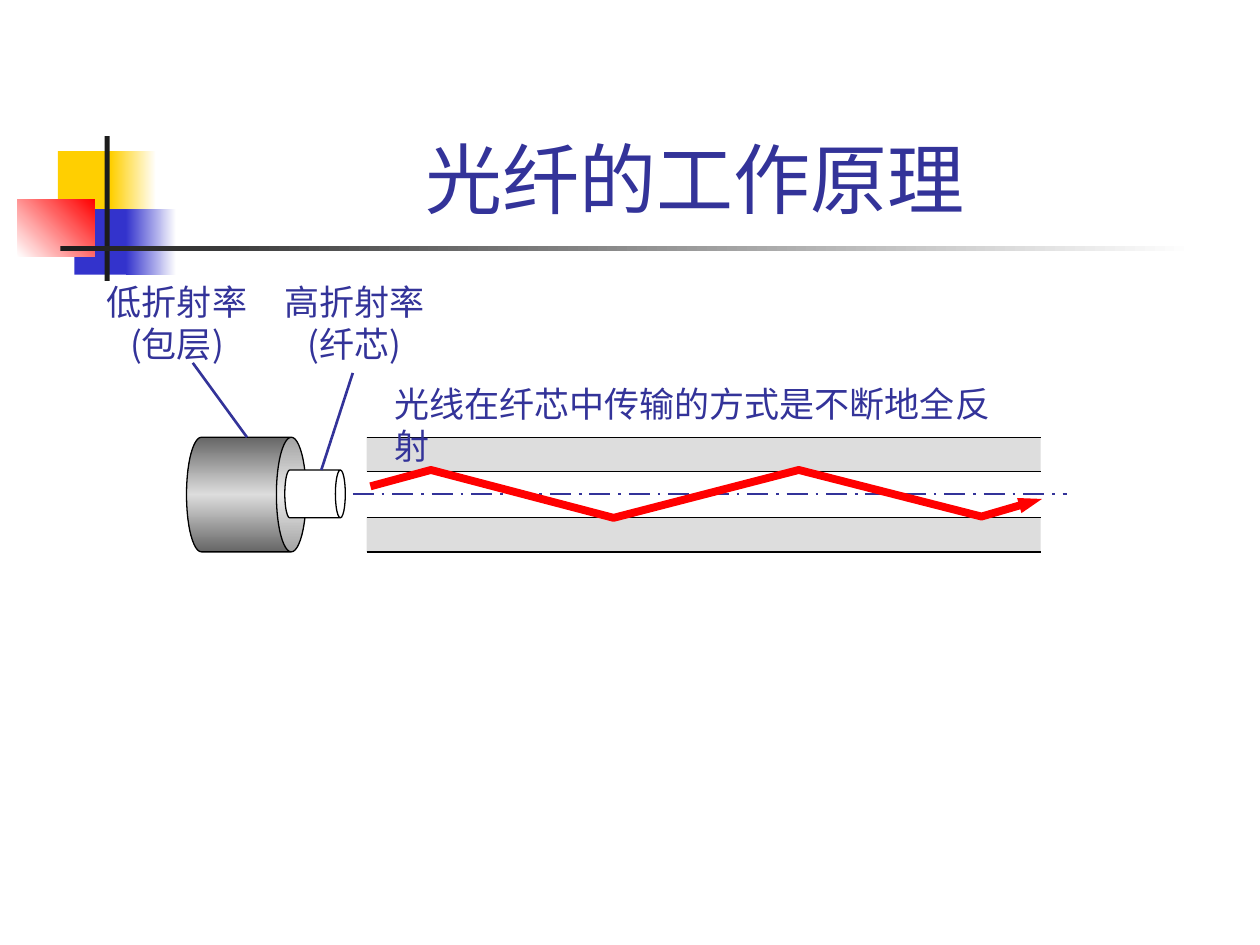
from copy import deepcopy
from typing import NamedTuple

from lxml.etree import SubElement
from pptx import Presentation
from pptx.dml.color import RGBColor
from pptx.enum.dml import MSO_LINE
from pptx.enum.shapes import MSO_CONNECTOR, MSO_SHAPE
from pptx.enum.text import MSO_ANCHOR, PP_ALIGN
from pptx.oxml.ns import qn
from pptx.util import Inches, Pt

YELLOW = RGBColor(0xFF, 0xCF, 0x01)
BLUE = RGBColor(0x33, 0x33, 0xCC)
RED = RGBColor(0xFF, 0x00, 0x00)
INK = RGBColor(0x1C, 0x1C, 0x1C)
NAVY = RGBColor(0x33, 0x33, 0x99)
WHITE = RGBColor(0xFF, 0xFF, 0xFF)
BLACK = RGBColor(0x00, 0x00, 0x00)
PALE = RGBColor(0xDD, 0xDD, 0xDD)
GREY = RGBColor(0x66, 0x66, 0x66)
CJK = "Noto Sans CJK SC"


class Block(NamedTuple):
    left: float
    top: float
    width: float
    height: float
    colors: tuple  # one colour is solid, several make a gradient
    angle: int = 0


class Can(NamedTuple):
    block: Block
    rim: float


class Line(NamedTuple):
    start: tuple
    end: tuple
    color: RGBColor = NAVY
    width: float = 1.5
    dash: MSO_LINE | None = None


def paint(shape, colors: tuple, angle: int) -> None:
    if len(colors) == 1:
        shape.fill.solid()
        shape.fill.fore_color.rgb = colors[0]
        return
    shape.fill.gradient()
    shape.fill.gradient_angle = angle
    stop_list = shape._element.spPr.find(".//" + qn("a:gsLst"))
    while len(stop_list) < len(colors):
        stop_list.append(deepcopy(stop_list[-1]))
    for i, (stop, color) in enumerate(zip(shape.fill.gradient_stops, colors)):
        stop.position = i / (len(colors) - 1)
        stop.color.rgb = color


def add_block(slide, block: Block, kind=MSO_SHAPE.RECTANGLE):
    box = (Inches(n) for n in block[:4])
    shape = slide.shapes.add_shape(kind, *box)
    shape.shadow.inherit = False
    paint(shape, block.colors, block.angle)
    shape.line.fill.background()
    return shape


def add_can(slide, can: Can) -> None:
    shape = add_block(slide, can.block, MSO_SHAPE.CAN)
    shape.rotation = 90
    shape.adjustments[0] = can.rim
    shape.line.color.rgb = BLACK
    shape.line.width = Pt(0.75)


def add_line(slide, line: Line) -> None:
    ends = (Inches(n) for n in line.start + line.end)
    connector = slide.shapes.add_connector(MSO_CONNECTOR.STRAIGHT, *ends)
    SubElement(connector._element.spPr, qn("a:effectLst"))
    connector.line.color.rgb = line.color
    connector.line.width = Pt(line.width)
    if line.dash is not None:
        connector.line.dash_style = line.dash


def add_text(slide, text: str, left: float, top: float, width: float, height: float, *,
             size: int = 20, font: str = CJK, align=PP_ALIGN.CENTER,
             anchor=MSO_ANCHOR.TOP, wrap: bool = False, spacing=None) -> None:
    box = slide.shapes.add_textbox(Inches(left), Inches(top), Inches(width), Inches(height))
    frame = box.text_frame
    frame.word_wrap = wrap
    frame.vertical_anchor = anchor
    frame.text = text
    for paragraph in frame.paragraphs:
        paragraph.alignment = align
        paragraph.line_spacing = spacing
        paragraph.font.size = Pt(size)
        paragraph.font.name = font
        paragraph.font.color.rgb = NAVY


def add_ray(slide, points: list) -> None:
    corners = [(Inches(x), Inches(y)) for x, y in points]
    builder = slide.shapes.build_freeform(*corners[0])
    builder.add_line_segments(corners[1:], close=False)
    ray = builder.convert_to_shape()
    ray.shadow.inherit = False
    ray.fill.background()
    ray.line.color.rgb = RED
    ray.line.width = Pt(4.5)
    SubElement(ray.line._get_or_add_ln(), qn("a:tailEnd"), type="triangle", w="sm")


ORNAMENT = [
    Block(0.46, 1.2, 0.48, 0.52, (YELLOW,)),
    Block(0.88, 1.2, 0.36, 0.52, (YELLOW, WHITE)),
    Block(0.59, 1.66, 0.46, 0.52, (BLUE,)),
    Block(1, 1.66, 0.4, 0.52, (BLUE, WHITE)),
    Block(0.14, 1.58, 0.61, 0.46, (WHITE, RED), 45),
    Block(0.83, 1.08, 0.04, 1.15, (INK,)),
    Block(0.48, 1.95, 9, 0.04, (INK, WHITE)),
]
FIBER_LEFT, FIBER_RIGHT = 2.91, 8.26
LAYER_EDGES = [3.47, 3.74, 4.11, 4.38]
LAYER_COLORS = [PALE, WHITE, PALE]
CANS = [
    Can(Block(1.5, 3.45, 0.91, 0.95, (GREY, PALE, GREY)), 0.26),
    Can(Block(2.31, 3.68, 0.38, 0.48, (WHITE,)), 0.207),
]
AXIS = Line((2.8, 3.92), (8.47, 3.92), dash=MSO_LINE.LONG_DASH_DOT)
LEADERS = [Line((2.8, 2.96), (2.55, 3.73)), Line((1.53, 2.88), (1.96, 3.47))]
RAY = [(2.94, 3.86), (3.42, 3.73), (4.87, 4.11), (6.34, 3.73), (7.79, 4.1), (8.27, 3.96)]


def main() -> None:
    presentation = Presentation()
    presentation.slide_width, presentation.slide_height = Inches(10), Inches(7.5)
    slide = presentation.slides.add_slide(presentation.slide_layouts[6])

    # Corner ornament and title
    for block in ORNAMENT:
        add_block(slide, block)
    add_text(slide, "光纤的工作原理", 1.26, 0.23, 8.52, 1.6,
             size=44, font="Arial", anchor=MSO_ANCHOR.BOTTOM, wrap=True)

    # Fiber layers, and the cable end beside them
    for top, bottom, color in zip(LAYER_EDGES, LAYER_EDGES[1:], LAYER_COLORS):
        add_block(slide, Block(FIBER_LEFT, top, FIBER_RIGHT - FIBER_LEFT, bottom - top, (color,)))
    for can in CANS:
        add_can(slide, can)
    for edge in LAYER_EDGES:
        add_line(slide, Line((FIBER_LEFT, edge), (FIBER_RIGHT, edge), BLACK, 0.75))
    add_line(slide, AXIS)

    # Labels with their leaders, and the one-line caption
    for left, label in ((2.16, "高折射率\n(纤芯)"), (0.75, "低折射率\n(包层)")):
        add_text(slide, label, left, 2.18, 1.31, 0.77, spacing=Pt(24))
    for leader in LEADERS:
        add_line(slide, leader)
    add_text(slide, "光线在纤芯中传输的方式是不断地全反射", 3.03, 2.99, 5.2, 0.43,
             align=PP_ALIGN.LEFT, spacing=Pt(24))

    # Light ray
    add_ray(slide, RAY)
    presentation.save("out.pptx")


if __name__ == "__main__":
    main()
